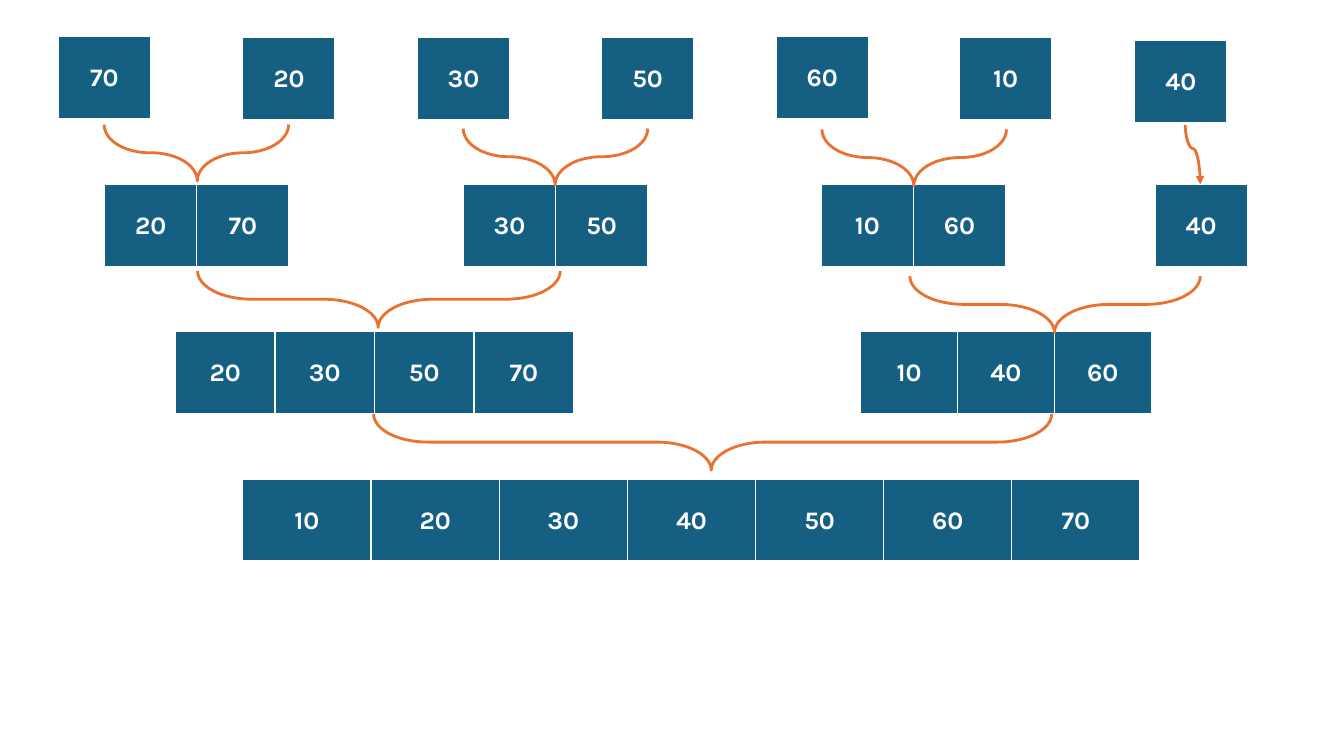
from pptx import Presentation
from pptx.dml.color import RGBColor
from pptx.enum.shapes import MSO_CONNECTOR, MSO_SHAPE
from pptx.enum.text import MSO_ANCHOR, PP_ALIGN
from pptx.oxml import parse_xml
from pptx.oxml.ns import nsdecls
from pptx.util import Cm, Pt

BLUE = RGBColor(0x15, 0x60, 0x82)
ORANGE = RGBColor(0xE9, 0x71, 0x32)
WHITE = RGBColor(0xFF, 0xFF, 0xFF)

CELL_HEIGHT = 2.1
BRACE_HEIGHT = 1.42
NARROW = 2.32
PAIR_TOP, MERGED_TOP, SORTED_TOP = 4.65, 8.36, 12.07
BORDERS = {"lnL": 1, "lnR": 1, "lnT": 1, "lnB": 3}

presentation = Presentation()
presentation.slide_width = Cm(33.87)
presentation.slide_height = Cm(19.05)
slide = presentation.slides.add_slide(presentation.slide_layouts[6])


def write_text(cell, text, size=18, font="Karla", color=WHITE, bold=True):
    cell.vertical_anchor = MSO_ANCHOR.MIDDLE
    paragraph = cell.text_frame.paragraphs[0]
    paragraph.alignment = PP_ALIGN.CENTER
    run = paragraph.add_run()
    run.text = text
    run.font.size = Pt(size)
    run.font.name = font
    run.font.bold = bold
    run.font.color.rgb = color


arrays = [
    (2.64, PAIR_TOP, NARROW, [20, 70]),
    (11.68, PAIR_TOP, NARROW, [30, 50]),
    (20.7, PAIR_TOP, NARROW, [10, 60]),
    (29.11, PAIR_TOP, NARROW, [40]),
    (1.47, 0.92, NARROW, [70]),
    (6.12, 0.94, NARROW, [20]),
    (10.52, 0.94, NARROW, [30]),
    (15.16, 0.94, NARROW, [50]),
    (19.56, 0.92, NARROW, [60]),
    (24.18, 0.94, NARROW, [10]),
    (28.6, 1.02, NARROW, [40]),
    (6.12, SORTED_TOP, 3.23, [10, 20, 30, 40, 50, 60, 70]),
    (4.42, MERGED_TOP, 2.51, [20, 30, 50, 70]),
    (21.69, MERGED_TOP, 2.44, [10, 40, 60]),
]
for left, top, cell_width, values in arrays:
    table = slide.shapes.add_table(
        1, len(values), Cm(left), Cm(top), Cm(cell_width * len(values)), Cm(CELL_HEIGHT)
    ).table
    table.horz_banding = False
    for column, value in enumerate(values):
        table.columns[column].width = Cm(cell_width)
        cell = table.cell(0, column)
        write_text(cell, str(value))
        properties = cell._tc.get_or_add_tcPr()
        for side, width in BORDERS.items():
            properties.append(parse_xml(
                f'<a:{side} {nsdecls("a")} w="{Pt(width)}"><a:solidFill>'
                f'<a:srgbClr val="{WHITE}"/></a:solidFill></a:{side}>'
            ))
        cell.fill.solid()
        cell.fill.fore_color.rgb = BLUE

braces = [
    (14.0, 3.24, 4.65, 0.498),
    (4.95, 3.14, 4.65, 0.505),
    (23.04, 3.26, 4.65, 0.498),
    (9.55, 6.83, 9.14, 0.498),
    (26.59, 6.96, 7.32, 0.498),
    (17.96, 10.43, 17.09, 0.498),
]
for center, top, span, tip in braces:
    brace = slide.shapes.add_shape(
        MSO_SHAPE.LEFT_BRACE,
        Cm(center - BRACE_HEIGHT / 2), Cm(top + BRACE_HEIGHT / 2 - span / 2),
        Cm(BRACE_HEIGHT), Cm(span),
    )
    brace.rotation = 270
    brace.adjustments[0] = 0.967
    brace.adjustments[1] = tip
    brace.shadow.inherit = False
    brace.fill.background()
    brace.line.color.rgb = ORANGE
    brace.line.width = Pt(2)

arrow = slide.shapes.add_connector(
    MSO_CONNECTOR.CURVE, Cm(30.81), Cm(3.71), Cm(29.31), Cm(4.09)
)
arrow.line.color.rgb = ORANGE
arrow.line.width = Pt(2)
arrow_properties = arrow._element.spPr
arrow_properties.xfrm.set("rot", str(270 * 60000))
arrow_properties.prstGeom.get_or_add_avLst().append(
    parse_xml(f'<a:gd {nsdecls("a")} name="adj1" fmla="val 39600"/>')
)
arrow.line._get_or_add_ln().append(parse_xml(f'<a:tailEnd {nsdecls("a")} type="triangle"/>'))
arrow_properties.append(parse_xml(f'<a:effectLst {nsdecls("a")}/>'))

presentation.save("out.pptx")
